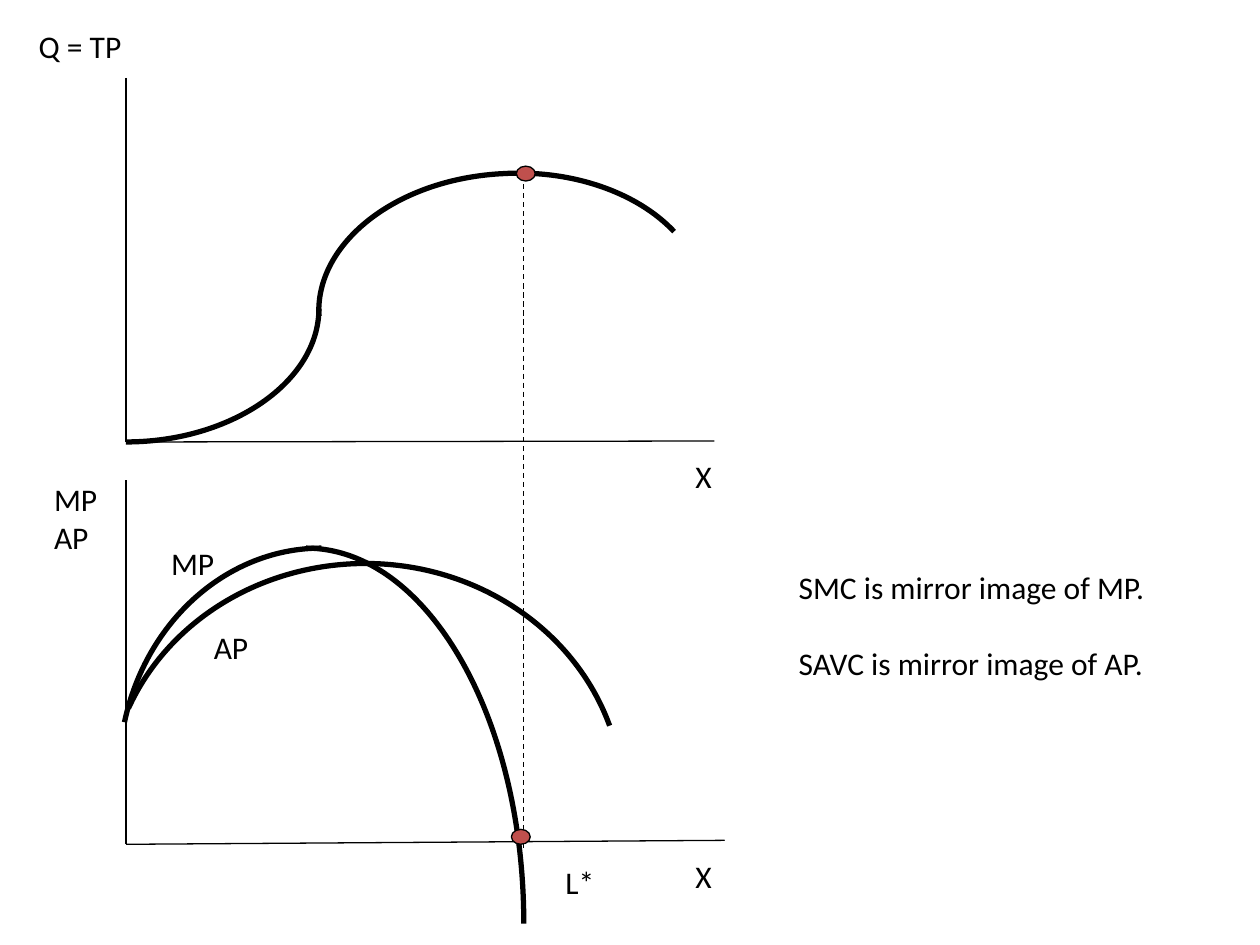
from lxml.etree import SubElement
from pptx import Presentation
from pptx.dml.color import RGBColor
from pptx.enum.dml import MSO_LINE
from pptx.enum.shapes import MSO_CONNECTOR, MSO_SHAPE
from pptx.enum.text import MSO_AUTO_SIZE
from pptx.oxml.ns import qn
from pptx.util import Cm, Pt

BLACK = RGBColor(0x00, 0x00, 0x00)
RED = RGBColor(0xC0, 0x50, 0x4D)
FONT = "Calibri"

PANEL_LEFT = 2.54
PANEL_HEIGHT = 7.34
TOTAL_TOP = 1.57
MARGINAL_TOP = 9.68
OPTIMUM_X = 10.56

TOTAL_CURVES = [
    [(0, 7.34), (2.13, 7.34), (3.89, 6.12), (3.89, 4.65)],
    [(11.05, 3.1), (10.31, 2.31), (8.99, 1.85), (7.62, 1.93),
     (5.46, 2.03), (3.81, 3.33), (3.89, 4.8)],
]
AVERAGE_CURVE = [(9.75, 4.95), (9.04, 3), (7.06, 1.68), (4.83, 1.68),
                 (2.74, 1.68), (0.86, 2.82), (0.05, 4.6)]
MARGINAL_CURVES = [
    [(3.94, 1.37), (2.06, 1.37), (0.41, 2.82), (-0.03, 4.88)],
    [(3.63, 1.37), (6.05, 1.37), (8.02, 4.75), (8.02, 8.94)],
]


def add_text(slide, text, left, top, width, height=1.02, *, size=18,
             color=BLACK, wrap=True, gap=0):
    """Add a text box with one paragraph per line, separated by gap points."""
    frame = slide.shapes.add_textbox(
        Cm(left), Cm(top), Cm(width), Cm(height)).text_frame
    frame.word_wrap = wrap
    frame.auto_size = MSO_AUTO_SIZE.SHAPE_TO_FIT_TEXT
    frame.text = text
    for index, paragraph in enumerate(frame.paragraphs):
        if index:
            paragraph.space_before = Pt(gap)
        font = paragraph.runs[0].font
        font.name = FONT
        font.size = Pt(size)
        font.color.rgb = color


def add_line(slide, start, end, dash=None):
    """Add a thin straight line between two points."""
    line = slide.shapes.add_connector(
        MSO_CONNECTOR.STRAIGHT, *map(Cm, (*start, *end)))
    line.line.color.rgb = BLACK
    line.line.width = Pt(0.75)
    if dash:
        line.line.dash_style = dash
    SubElement(line._element.spPr, qn("a:effectLst"))


def bend_segments(shape):
    """Turn each three straight segments of an outline into one cubic curve."""
    outline = next(shape._element.iter(qn("a:path")))
    segments = outline.findall(qn("a:lnTo"))
    for first in range(0, len(segments), 3):
        curve = SubElement(outline, qn("a:cubicBezTo"))
        for segment in segments[first:first + 3]:
            curve.append(segment[0])
            outline.remove(segment)


def add_curve(slide, left, top, controls):
    """Draw a chain of cubic curves relative to a panel's corner."""
    start, *rest = [(Cm(left + x), Cm(top + y)) for x, y in controls]
    builder = slide.shapes.build_freeform(*start)
    builder.add_line_segments(rest, close=False)
    curve = builder.convert_to_shape()
    bend_segments(curve)
    curve.shadow.inherit = False
    curve.fill.background()
    curve.line.color.rgb = BLACK
    curve.line.width = Pt(3)


def add_marker(slide, left, top):
    """Add a red dot that marks the optimum."""
    marker = slide.shapes.add_shape(
        MSO_SHAPE.OVAL, Cm(left), Cm(top), Cm(0.38), Cm(0.3))
    marker.shadow.inherit = False
    marker.fill.solid()
    marker.fill.fore_color.rgb = RED
    marker.line.color.rgb = BLACK
    marker.line.width = Pt(0.75)


def add_axes(slide, left, top, width, height, rise, label_drop):
    """Draw both axes, the horizontal one rising slightly, and label X."""
    origin = (left, top + height)
    add_line(slide, (left, top), origin)
    add_line(slide, origin, (left + width, top + height - rise))
    add_text(slide, "X", left + 11.23, top + height + label_drop, 0.97)


def add_total_panel(slide, left, top, height):
    """Draw the total product diagram."""
    add_text(slide, "Q = TP", left - 2.01, top - 1.14, 4.09)
    add_axes(slide, left, top, 11.86, height, 0.02, 0.18)
    for controls in TOTAL_CURVES:
        add_curve(slide, left, top, controls)
    add_marker(slide, left + 7.87, top + 1.78)


def add_marginal_panel(slide, left, top, height):
    """Draw the marginal and average product diagram."""
    add_text(slide, "MP AP", left - 1.7, top - 0.13, 1.88, 1.78)
    add_axes(slide, left, top, 12.07, height, 0.08, 0.13)
    for controls in [AVERAGE_CURVE, *MARGINAL_CURVES]:
        add_curve(slide, left, top, controls)
    add_line(slide, (OPTIMUM_X, 3.71), (OPTIMUM_X, 17.12), MSO_LINE.DASH)
    add_text(slide, "AP", left + 1.52, top + 2.85, 2.51)
    add_text(slide, "MP", left + 0.66, top + 1.17, 2.51)
    add_marker(slide, left + 7.77, top + 7.04)
    add_text(slide, "L*", left + 8.61, top + 7.59, 1.12, wrap=False)


def main():
    """Build and save the product curves slide."""
    presentation = Presentation()
    presentation.slide_width = Cm(25.4)
    presentation.slide_height = Cm(19.05)
    slide = presentation.slides.add_slide(presentation.slide_layouts[6])
    add_total_panel(slide, PANEL_LEFT, TOTAL_TOP, PANEL_HEIGHT)
    add_marginal_panel(slide, PANEL_LEFT, MARGINAL_TOP, PANEL_HEIGHT)
    add_text(slide, "SMC is mirror image of MP.\nSAVC is mirror image of AP.",
             15.85, 11.33, 8.71, 2.57, gap=22)
    presentation.save("out.pptx")


if __name__ == "__main__":
    main()
